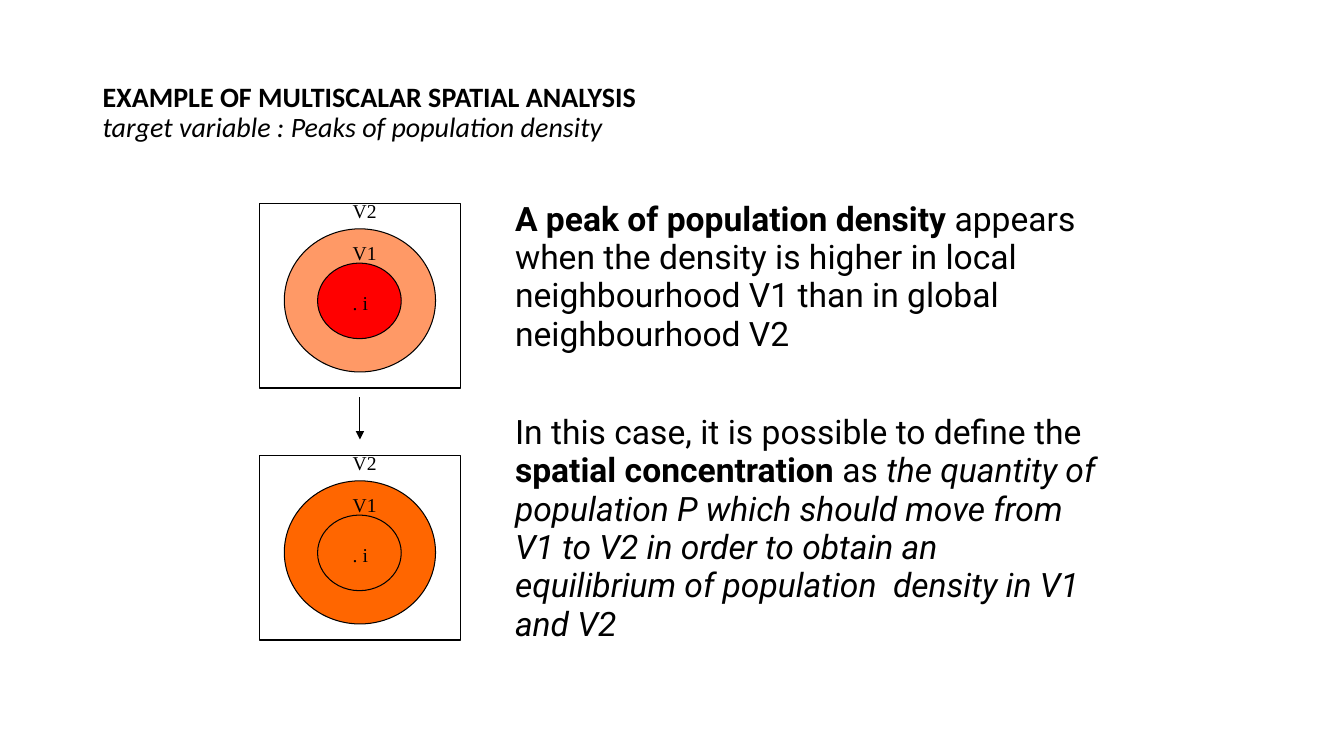
from lxml.etree import SubElement
from pptx import Presentation
from pptx.dml.color import RGBColor
from pptx.enum.shapes import MSO_CONNECTOR as CONN, MSO_SHAPE as SHAPE
from pptx.enum.text import MSO_ANCHOR as ANCHOR, MSO_AUTO_SIZE as AUTO
from pptx.oxml.ns import qn
from pptx.util import Emu, Pt

PX = 9144
COLORS = {"black": "000000", "white": "FFFFFF", "peach": "FF9966",
          "red": "FF0000", "orange": "FF6600"}


def px(*values):
    """Turn px lengths into EMU."""
    return [Emu(v * PX) for v in values]


def rgb(name):
    """Look up a colour by name."""
    return RGBColor.from_string(COLORS[name])


def add_text(shapes, box, paragraphs, *, font, size, spacing, before=(),
             wrap=True, anchor=ANCHOR.TOP, fit=AUTO.NONE):
    """Add a text box whose paragraphs are lists of (text, style) runs."""
    s = shapes.add_textbox(*px(*box))
    tf = s.text_frame
    tf.word_wrap, tf.vertical_anchor, tf.auto_size = wrap, anchor, fit
    for i, runs in enumerate(paragraphs):
        p = tf.add_paragraph() if i else tf.paragraphs[0]
        p.line_spacing = spacing
        if before:
            p.space_before = Pt(before[i])
        for text, style in runs:
            r = p.add_run()
            r.text = text
            r.font.name, r.font.size = font, Pt(size)
            r.font.bold, r.font.italic = "b" in style, "i" in style
            r.font.color.rgb = rgb("black")
    return s


def add_outlined(shapes, kind, box, fill):
    """Add a filled shape with a thin black outline."""
    s = shapes.add_shape(kind, *px(*box))
    s.shadow.inherit = False
    s.fill.solid()
    s.fill.fore_color.rgb = rgb(fill)
    s.line.color.rgb = rgb("black")
    s.line.width = Pt(0.75)
    return s


def add_neighbourhood(slide, x, y, outer, inner):
    """Add a grouped square with nested V2 and V1 zones around point i."""
    shapes = slide.shapes.add_group_shape().shapes
    add_outlined(shapes, SHAPE.RECTANGLE, (x, y, 200, 183), "white")
    add_outlined(shapes, SHAPE.OVAL, (x + 25, y + 25, 150, 142), outer)
    add_outlined(shapes, SHAPE.OVAL, (x + 58, y + 59, 83, 75), inner)
    for text, dy, w in (("V1", 34, 44), ("V2", -8, 44), (". i", 84, 35)):
        add_text(shapes, (x + 83, y + dy, w, 32), [[(text, "")]],
                 font="Times New Roman", size=14, spacing=0.93,
                 wrap=False, fit=AUTO.SHAPE_TO_FIT_TEXT)


def add_arrow(slide, x1, y1, x2, y2):
    """Add a thin black arrow."""
    c = slide.shapes.add_connector(CONN.STRAIGHT, *px(x1, y1, x2, y2))
    c.line.color.rgb = rgb("black")
    c.line.width = Pt(0.75)
    SubElement(c.line._get_or_add_ln(), qn("a:tailEnd"), type="triangle")
    SubElement(c._element.spPr, qn("a:effectLst"))


def main():
    """Build the slide and save it."""
    prs = Presentation()
    prs.slide_width, prs.slide_height = px(1333, 750)
    slide = prs.slides.add_slide(prs.slide_layouts[6])

    add_text(slide.shapes, (92, 40, 1150, 145), [
        [("EXAMPLE OF MULTISCALAR SPATIAL ANALYSIS", "b")],
        [("target variable : Peaks of population density", "i")],
    ], font="Calibri", size=20, spacing=0.9, anchor=ANCHOR.MIDDLE)

    add_text(slide.shapes, (501, 194, 606, 451), [
        [("A peak of population density", "b"),
         (" appears when the density is higher in local neighbourhood V1 "
          "than in global neighbourhood V2", "")],
        [("In this case, it is possible to define the ", ""),
         ("spatial concentration", "b"),
         (" as ", ""),
         ("the quantity of population P which should move from V1 to V2 in "
          "order to obtain an equilibrium of population  density in V1 and V2",
          "i")],
    ], font="Roboto", size=24, spacing=0.95, before=(8, 43),
        fit=AUTO.SHAPE_TO_FIT_TEXT)

    add_neighbourhood(slide, 257, 202, "peach", "red")
    add_neighbourhood(slide, 257, 452, "orange", "orange")
    add_arrow(slide, 357, 394, 357, 436)
    prs.save("out.pptx")


if __name__ == "__main__":
    main()
